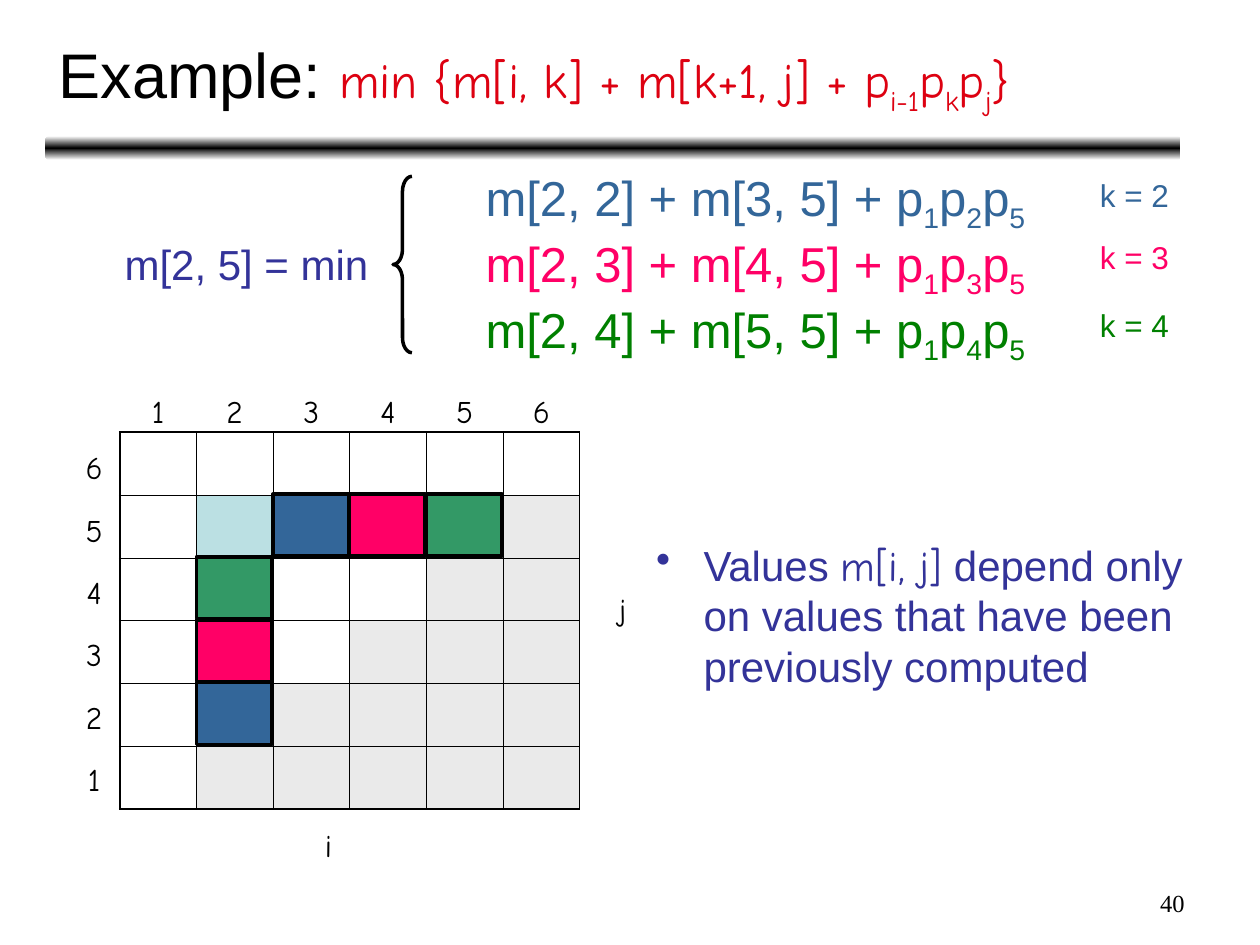
"""Builds the matrix-chain example slide with its recurrence and dependency grid."""
from copy import deepcopy
from dataclasses import dataclass

from lxml.etree import SubElement
from pptx import Presentation
from pptx.dml.color import RGBColor
from pptx.enum.shapes import MSO_SHAPE
from pptx.enum.text import MSO_ANCHOR, PP_ALIGN
from pptx.oxml.ns import qn
from pptx.util import Pt

BLACK = RGBColor(0x00, 0x00, 0x00)
WHITE = RGBColor(0xFF, 0xFF, 0xFF)
RED = RGBColor(0xDD, 0x01, 0x11)
INDIGO = RGBColor(0x33, 0x33, 0x99)
BLUE = RGBColor(0x33, 0x66, 0x99)
PINK = RGBColor(0xFF, 0x00, 0x66)
GREEN = RGBColor(0x00, 0x80, 0x00)
SEA_GREEN = RGBColor(0x33, 0x99, 0x66)
PALE_CYAN = RGBColor(0xBB, 0xE0, 0xE3)
GRAY = RGBColor(0xEA, 0xEA, 0xEA)
SANS, HAND, SERIF = "Arial", "Comic Neue", "Times New Roman"

N = 6
GRID_X, GRID_Y = 68.4, 247
CELL_W, CELL_H = 43.8, 35.9
LABEL_W, LABEL_H = 24, 28.8


@dataclass(frozen=True)
class Run:
    text: str
    size: float
    color: RGBColor
    font: str = SANS
    sub: bool = False


@dataclass(frozen=True)
class Option:
    k: int
    color: RGBColor
    cell_color: RGBColor
    label_y: float
    space: float = 0


OPTIONS = [
    Option(2, BLUE, BLUE, 97.2, 4.5),
    Option(3, PINK, PINK, 132.5),
    Option(4, GREEN, SEA_GREEN, 171.4),
]


def subscripted(text: str, size: float, color: RGBColor, font: str = SANS) -> list[Run]:
    """Split text at underscores, each odd piece being a subscript."""
    return [Run(t, size, color, font, i % 2 == 1) for i, t in enumerate(text.split("_")) if t]


def add_text(slide, paragraphs: list[list[Run]], x: float, y: float, w: float, h: float, *,
             align=PP_ALIGN.LEFT, anchor=MSO_ANCHOR.TOP, wrap: bool = True, before: float = 0,
             spacing: float = 1.0, indent: float = 0, bullet: RGBColor | None = None) -> None:
    """Add a text box holding paragraphs of formatted runs."""
    tf = slide.shapes.add_textbox(Pt(x), Pt(y), Pt(w), Pt(h)).text_frame
    tf.word_wrap, tf.vertical_anchor = wrap, anchor
    for i, runs in enumerate(paragraphs):
        p = tf.add_paragraph() if i else tf.paragraphs[0]
        p.alignment, p.space_before, p.line_spacing = align, Pt(before), spacing
        pPr = p._p.get_or_add_pPr()
        pPr.set("marL", str(Pt(indent)))
        if bullet is not None:
            pPr.set("indent", str(-Pt(indent)))
            SubElement(SubElement(pPr, qn("a:buClr")), qn("a:srgbClr"), val=str(bullet))
            SubElement(pPr, qn("a:buChar"), char="•")
        for run in runs:
            r = p.add_run()
            r.text = run.text
            r.font.name, r.font.size, r.font.color.rgb = run.font, Pt(run.size), run.color
            if run.sub:
                r._r.get_or_add_rPr().set("baseline", "-25000")


def add_outline(slide, kind, x: float, y: float, w: float, h: float, fill: RGBColor | None = None):
    """Add a preset shape with a 2 pt black outline."""
    s = slide.shapes.add_shape(kind, Pt(x), Pt(y), Pt(w), Pt(h))
    s.shadow.inherit = False
    s.line.color.rgb, s.line.width = BLACK, Pt(2)
    if fill is None:
        s.fill.background()
    else:
        s.fill.solid()
        s.fill.fore_color.rgb = fill
    return s


def add_rule(slide) -> None:
    """Add the gradient bar below the title."""
    s = slide.shapes.add_shape(MSO_SHAPE.ROUNDED_RECTANGLE, Pt(26), Pt(77.8), Pt(648.7), Pt(13.6))
    s.shadow.inherit = False
    s.line.fill.background()
    s.fill.gradient()
    s.fill.gradient_angle = 90
    stops = s._element.spPr.find(".//" + qn("a:gsLst"))
    stops.append(deepcopy(stops[-1]))
    for stop, position, color in zip(s.fill.gradient_stops, (0, 0.5, 1), (WHITE, BLACK, WHITE)):
        stop.position, stop.color.rgb = position, color


def set_borders(cell, row: int, col: int) -> None:
    """Draw thin inner borders and thicker ones on the table's rim."""
    rim = {"L": col == 0, "R": col == N - 1, "T": row == 0, "B": row == N - 1}
    for side, outer in rim.items():
        ln = SubElement(cell._tc.get_or_add_tcPr(), qn(f"a:ln{side}"), w=str(Pt(1.08 if outer else 0.45)))
        SubElement(SubElement(ln, qn("a:solidFill")), qn("a:srgbClr"), val=str(BLACK))


def add_grid(slide) -> None:
    """Add the table, shading the cells where i exceeds j."""
    table = slide.shapes.add_table(N, N, Pt(GRID_X), Pt(GRID_Y), Pt(N * CELL_W), Pt(N * CELL_H)).table
    table.first_row = table.horz_banding = False
    for row in range(N):
        table.rows[row].height, table.columns[row].width = Pt(CELL_H), Pt(CELL_W)
        for col in range(N):
            cell = table.cell(row, col)
            set_borders(cell, row, col)
            if row + col >= N:
                color = GRAY
            elif (row, col) == (1, 1):
                color = PALE_CYAN
            else:
                cell.fill.background()
                continue
            cell.fill.solid()
            cell.fill.fore_color.rgb = color


def add_label(slide, text: str, center: float, y: float) -> None:
    """Add a handwritten label centred on a horizontal position."""
    add_text(slide, [[Run(text, 18, BLACK, HAND)]], center - LABEL_W / 2, y, LABEL_W, LABEL_H,
             align=PP_ALIGN.CENTER, wrap=False)


def add_cell_marker(slide, row: int, col: int, color: RGBColor) -> None:
    """Add a coloured outlined rectangle over one grid cell."""
    add_outline(slide, MSO_SHAPE.RECTANGLE, GRID_X + col * CELL_W, GRID_Y + row * CELL_H - 0.5,
                43.2, 35.3, color)


def main() -> None:
    """Build and save the slide."""
    prs = Presentation()
    prs.slide_width, prs.slide_height = Pt(720), Pt(540)
    slide = prs.slides.add_slide(prs.slide_layouts[6])

    add_rule(slide)
    title = [Run("Example: ", 36, BLACK)]
    title += subscripted("min {m[i, k] + m[k+1, j] + p_i-1_p_k_p_j_}", 28, RED, HAND)
    add_text(slide, [title], 26.6, 7.9, 648, 71.3, anchor=MSO_ANCHOR.MIDDLE)
    sums = [subscripted(f"m[2, {o.k}] + m[{o.k + 1}, 5] + p_1_p_{o.k}_p_5", 28, o.color)
            for o in OPTIONS]
    add_text(slide, sums, 27.4, 95.8, 630.7, 115.9, before=7, spacing=0.8, indent=243)

    add_grid(slide)
    for n in range(1, N + 1):
        add_label(slide, str(n), GRID_X + (n - 0.5) * CELL_W, 220.3)
        add_label(slide, str(n), 53.8, 252.7 + (N - n) * 35.6)
    add_label(slide, "i", 187.6, 468.7)
    add_label(slide, "j", 355.7, 333.4)

    brace = add_outline(slide, MSO_SHAPE.LEFT_BRACE, 224.6, 100.8, 10.8, 100.8)
    brace.adjustments[0], brace.adjustments[1] = 0.8, 0.5
    add_text(slide, [[Run("m[2, 5] = min", 24, INDIGO)]], 64.1, 132.5, 185, 49, before=6)

    for o in OPTIONS:
        add_cell_marker(slide, N - o.k, 1, o.cell_color)
        add_cell_marker(slide, 1, o.k, o.cell_color)
        add_text(slide, [[Run(f"k = {o.k}", 18, o.color)]], 621.4, o.label_y, 54, LABEL_H,
                 wrap=False, before=o.space)

    note = [Run("Values ", 24, INDIGO), Run("m[i, j]", 24, INDIGO, HAND),
            Run(" depend only on values that have been previously computed", 24, INDIGO)]
    add_text(slide, [note], 367.9, 304.6, 334.8, 185, before=6, indent=27, bullet=INDIGO)
    add_text(slide, [[Run("40", 14, BLACK, SERIF)]], 516.2, 504, 167.8, 25.2, align=PP_ALIGN.RIGHT)
    prs.save("out.pptx")


if __name__ == "__main__":
    main()
